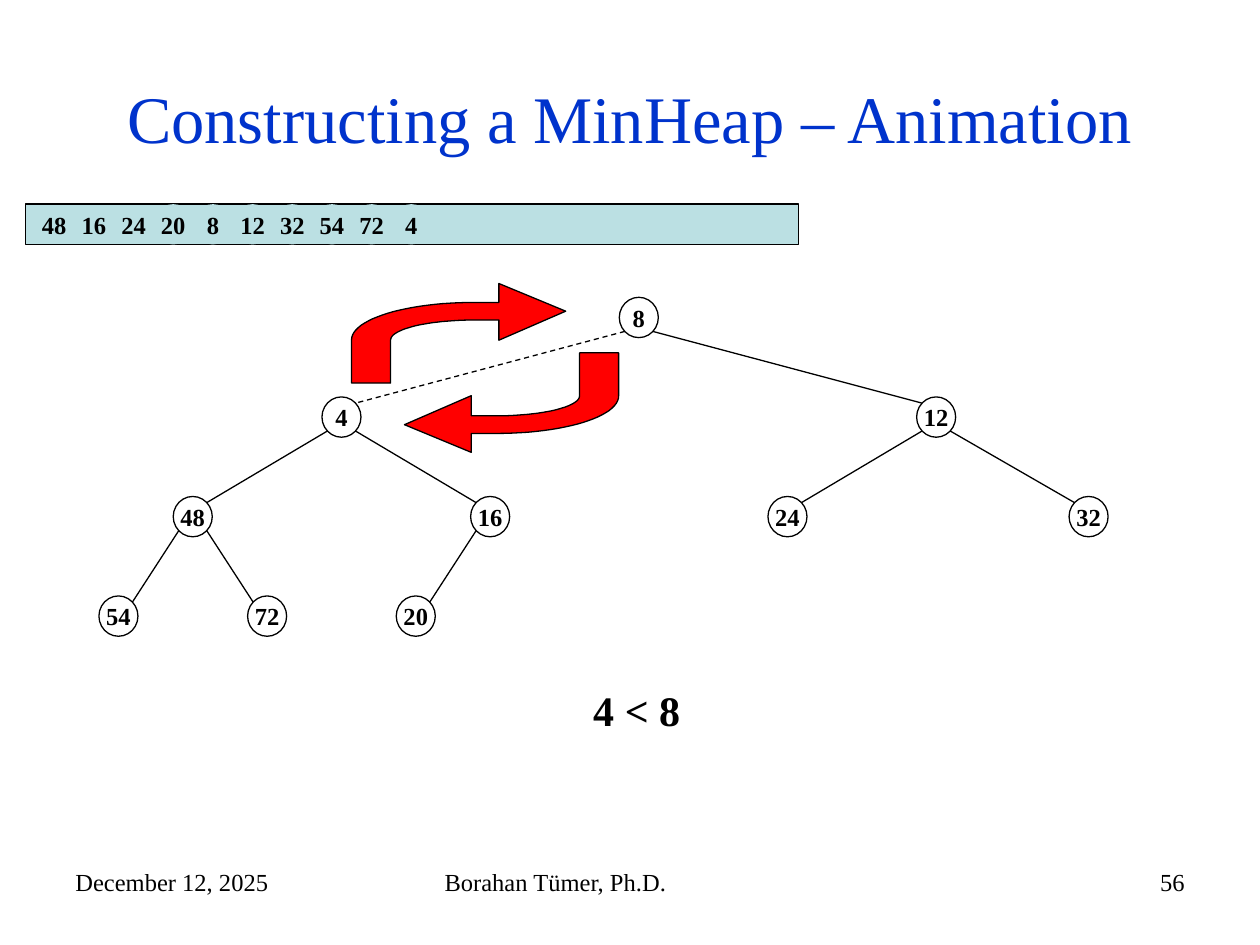
from dataclasses import dataclass

from lxml import etree
from pptx import Presentation
from pptx import util as u
from pptx.dml.color import RGBColor
from pptx.enum import dml, shapes, text
from pptx.oxml.ns import qn

WIDTH, HEIGHT = 10, 7.5
BLACK = RGBColor(0, 0, 0)
WHITE = RGBColor(255, 255, 255)
BLUE = RGBColor(0x00, 0x33, 0xCC)
TEAL = RGBColor(0xBB, 0xE0, 0xE3)
RED = RGBColor(255, 0, 0)

COL, ROW = 0.59, 0.79        # tree grid
TREE_X, TREE_Y = 0.94, 2.52  # centre of column 0, row 0
NODE_W, NODE_H = 0.31, 0.32
CORNER = 0.11                # node centre to its diagonal points
BAR_LEFT, BAR_TOP = 0.2, 1.62
SLOT = 0.315                 # pitch of the array entries
UNITS = 1000                 # freeform units to the inch


@dataclass
class Node:
    value: int
    col: float
    row: int
    parent: int | None = None
    dashed: bool = False

    @property
    def x(self) -> float:
        return TREE_X + self.col * COL

    @property
    def y(self) -> float:
        return TREE_Y + self.row * ROW


ARRAY = [48, 16, 24, 20, 8, 12, 32, 54, 72, 4]
UNFILLED = 3
TREE = [
    Node(8, 7, 0),
    Node(4, 3, 1, parent=8, dashed=True),
    Node(12, 11, 1, parent=8),
    Node(48, 1, 2, parent=4),
    Node(16, 5, 2, parent=4),
    Node(24, 9, 2, parent=12),
    Node(32, 13.05, 2, parent=12),
    Node(54, 0, 3, parent=48),
    Node(72, 2, 3, parent=48),
    Node(20, 4, 3, parent=16),
]


def box(x: float, y: float, w: float, h: float) -> list[u.Length]:
    return [u.Inches(v) for v in (x, y, w, h)]


def style(sp, fill: RGBColor | None = None, outlined: bool = True) -> None:
    sp.shadow.inherit = False
    if fill is None:
        sp.fill.background()
    else:
        sp.fill.solid()
        sp.fill.fore_color.rgb = fill
    if outlined:
        sp.line.color.rgb = BLACK
        sp.line.width = u.Pt(0.75)
    else:
        sp.line.fill.background()


def write(sp, words: str, size: float = 14, color: RGBColor = BLACK, bold: bool = False,
          align=text.PP_ALIGN.LEFT, anchor=text.MSO_ANCHOR.TOP,
          wrap: bool = True, inset: float | None = None) -> None:
    tf = sp.text_frame
    tf.word_wrap = wrap
    tf.vertical_anchor = anchor
    if inset is not None:
        tf.margin_left = tf.margin_right = tf.margin_top = tf.margin_bottom = u.Inches(inset)
    p = tf.paragraphs[0]
    p.alignment = align
    r = p.add_run()
    r.text = words
    r.font.name = "Times New Roman"
    r.font.size = u.Pt(size)
    r.font.bold = bold
    r.font.color.rgb = color


def draw_number(s, value: int, x: float, y: float,
                fill: RGBColor | None = None, outlined: bool = True) -> None:
    """Draw an ellipse centred on x, y that holds the value."""
    sp = s.shapes.add_shape(shapes.MSO_SHAPE.OVAL,
                            *box(x - NODE_W / 2, y - NODE_H / 2, NODE_W, NODE_H))
    style(sp, fill, outlined)
    write(sp, str(value), bold=True, align=text.PP_ALIGN.CENTER,
          anchor=text.MSO_ANCHOR.MIDDLE, wrap=False, inset=0)


def draw_edge(s, parent: Node, child: Node) -> None:
    dx = CORNER if child.x > parent.x else -CORNER
    line = s.shapes.add_connector(
        shapes.MSO_CONNECTOR.STRAIGHT,
        *box(parent.x + dx, parent.y + CORNER, child.x - dx, child.y - CORNER))
    line.line.color.rgb = BLACK
    line.line.width = u.Pt(0.75)
    if child.dashed:
        line.line.dash_style = dml.MSO_LINE.DASH
    etree.SubElement(line._element.spPr, qn("a:effectLst"))


def bezier(a, b, c, d, steps: int = 24) -> list[tuple[float, float]]:
    """Points after a on the cubic curve from a to d."""
    points = []
    for i in range(1, steps + 1):
        t = i / steps
        k = ((1 - t) ** 3, 3 * t * (1 - t) ** 2, 3 * t * t * (1 - t), t ** 3)
        points.append(tuple(sum(w * q[n] for w, q in zip(k, (a, b, c, d))) for n in (0, 1)))
    return points


def draw_swap_arrow(s, left: float, top: float, rotation: float = 0) -> None:
    outline = [(1.7, 0.22), (1.17, 0), (1.17, 0.15), (0.98, 0.15),
               *bezier((0.98, 0.15), (0.44, 0.15), (0, 0.28), (0, 0.45)),
               (0, 0.79), (0.31, 0.79), (0.31, 0.45),
               *bezier((0.31, 0.45), (0.31, 0.36), (0.61, 0.29), (0.98, 0.29)),
               (1.17, 0.29), (1.17, 0.45)]
    start, *rest = [(round(x * UNITS), round(y * UNITS)) for x, y in outline]
    builder = s.shapes.build_freeform(*start, scale=u.Inches(1) / UNITS)
    builder.add_line_segments(rest, close=True)
    sp = builder.convert_to_shape(u.Inches(left), u.Inches(top))
    sp.rotation = rotation
    style(sp, RED)


def main() -> None:
    prs = Presentation()
    prs.slide_width, prs.slide_height = u.Inches(WIDTH), u.Inches(HEIGHT)
    s = prs.slides.add_slide(prs.slide_layouts[6])

    title = s.shapes.add_textbox(*box(0.05 * WIDTH, 0.04 * HEIGHT, 0.9 * WIDTH, 1.25))
    write(title, "Constructing a MinHeap – Animation", size=38, color=BLUE,
          align=text.PP_ALIGN.CENTER, anchor=text.MSO_ANCHOR.MIDDLE)
    for words, left, width, align in (
            ("December 12, 2025", 0.5, 2.33, text.PP_ALIGN.LEFT),
            ("Borahan Tümer, Ph.D.", 3.43, 3.17, text.PP_ALIGN.LEFT),
            ("56", 7.17, 2.33, text.PP_ALIGN.RIGHT)):
        write(s.shapes.add_textbox(*box(left, 6.83, width, 0.52)), words, align=align)

    bar = s.shapes.add_shape(shapes.MSO_SHAPE.RECTANGLE,
                             *box(BAR_LEFT, BAR_TOP, 6.14, NODE_H))
    style(bar, TEAL)
    for i, value in enumerate(ARRAY):
        draw_number(s, value, BAR_LEFT + 0.23 + i * SLOT, BAR_TOP + NODE_H / 2,
                    fill=None if i < UNFILLED else TEAL, outlined=False)

    nodes = {node.value: node for node in TREE}
    for node in TREE:
        if node.parent is not None:
            draw_edge(s, nodes[node.parent], node)
    for node in TREE:
        draw_number(s, node.value, node.x, node.y)

    comparison = s.shapes.add_textbox(*box(4.61, 5.38, 0.89, 0.5))
    comparison.fill.solid()
    comparison.fill.fore_color.rgb = WHITE
    write(comparison, "4 < 8", size=24, bold=True, wrap=False)

    draw_swap_arrow(s, 2.79, 2.25)
    draw_swap_arrow(s, 3.21, 2.8, rotation=180)
    prs.save("out.pptx")


if __name__ == "__main__":
    main()
